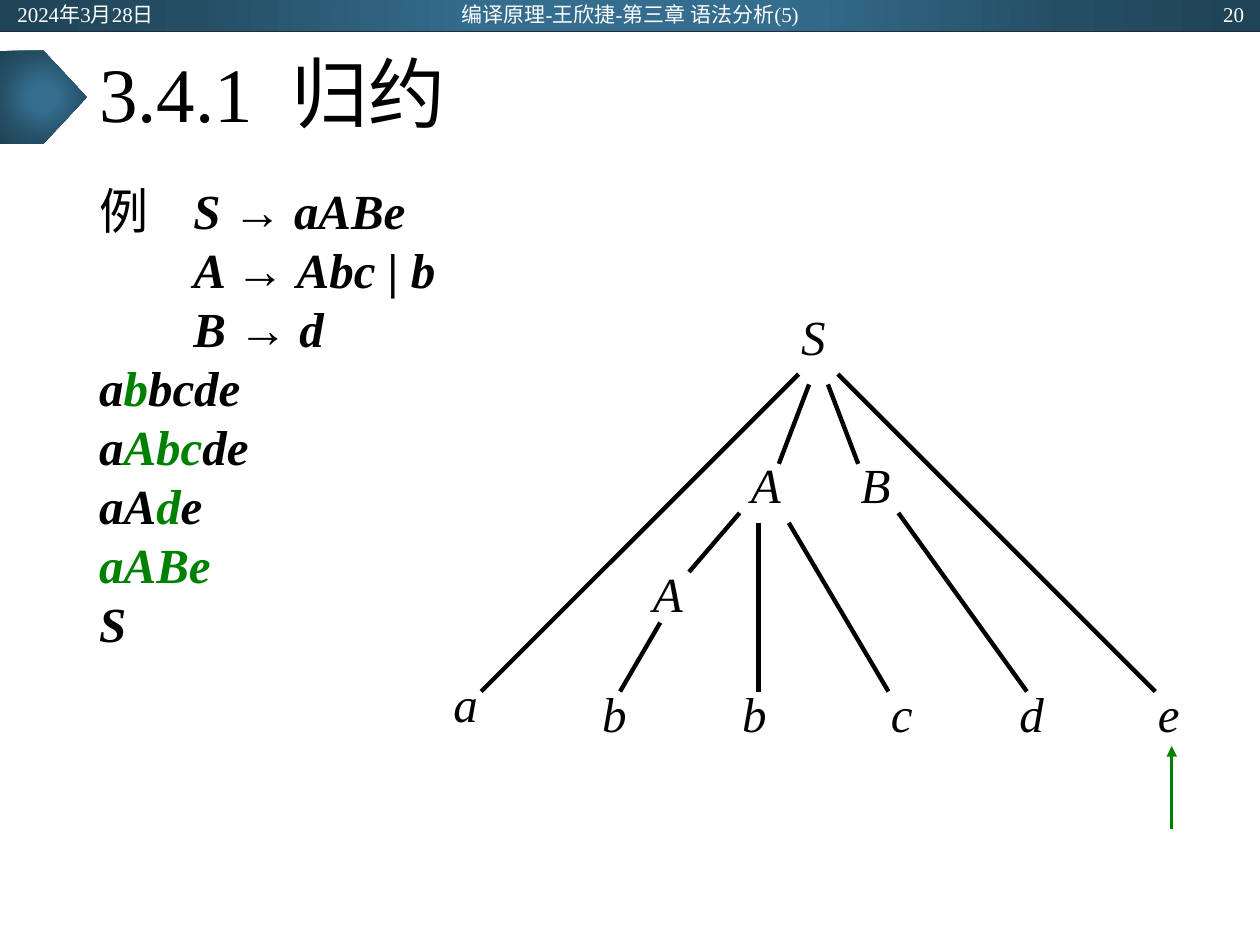
from lxml import etree
from pptx import Presentation
from pptx.dml.color import RGBColor
from pptx.enum.shapes import MSO_CONNECTOR as Connector, MSO_SHAPE as Shape
from pptx.enum.text import MSO_ANCHOR as Anchor, PP_ALIGN as Align
from pptx.oxml import parse_xml
from pptx.oxml.ns import nsdecls, qn
from pptx.util import Cm, Pt

COLORS = {
    "black": "000000",
    "white": "FFFFFF",
    "green": "008000",
    "rule": "222A35",
}
BLUE_STOPS = [(0, "346D8E"), (23, "346D8E"), (69, "254E64"), (97, "204457")]


class SlideBuilder:
    font_name = "Times New Roman"

    def __init__(self, slide):
        self.shapes = slide.shapes

    def band(self, shape_type, left, top, width, height):
        """Shape with a blue gradient spreading from its centre."""
        shape = self.shapes.add_shape(
            shape_type, Cm(left), Cm(top), Cm(width), Cm(height))
        shape.shadow.inherit = False
        shape.line.fill.background()
        stops = "".join(
            f'<a:gs pos="{pos * 1000}"><a:srgbClr val="{color}"/></a:gs>'
            for pos, color in BLUE_STOPS)
        gradient = parse_xml(
            f'<a:gradFill {nsdecls("a")} rotWithShape="1"><a:gsLst>{stops}</a:gsLst>'
            '<a:path path="circle"><a:fillToRect l="50000" t="50000" r="50000" b="50000"/>'
            '</a:path></a:gradFill>')
        shape._element.spPr.find(qn("a:prstGeom")).addnext(gradient)

    def line(self, start, end, color="black", width=2.5, arrow=False):
        connector = self.shapes.add_connector(
            Connector.STRAIGHT, *(Cm(value) for value in (*start, *end)))
        connector.line.color.rgb = RGBColor.from_string(COLORS[color])
        connector.line.width = Pt(width)
        if arrow:
            etree.SubElement(connector.line._get_or_add_ln(),
                             qn("a:tailEnd"), type="triangle")
        etree.SubElement(connector._element.spPr, qn("a:effectLst"))

    def box(self, left, top, width, height, anchor=Anchor.TOP, insets=(0.25, 0.13)):
        frame = self.shapes.add_textbox(
            Cm(left), Cm(top), Cm(width), Cm(height)).text_frame
        frame.word_wrap = True
        frame.vertical_anchor = anchor
        frame.margin_left = frame.margin_right = Cm(insets[0])
        frame.margin_top = frame.margin_bottom = Cm(insets[1])
        return frame

    def style(self, span, size, color="black", bold=False, italic=False):
        span.font.name = self.font_name
        span.font.size = Pt(size)
        span.font.color.rgb = RGBColor.from_string(COLORS[color])
        span.font.bold = bold
        span.font.italic = italic

    def text(self, content, place, size, color="black", align=Align.LEFT,
             italic=False, **box_options):
        frame = self.box(*place, **box_options)
        frame.text = content
        para = frame.paragraphs[0]
        para.alignment = align
        self.style(para.runs[0], size, color, italic=italic)
        return para

    def title(self, number, name, place):
        para = self.text(number, place, 44, anchor=Anchor.MIDDLE)
        para.line_spacing = 0.9
        for content in (" ", name):
            span = para.add_run()
            span.text = content
            self.style(span, 44)
        # Widen the gap between number and name
        para.runs[1]._r.get_or_add_rPr().set("spc", "1100")

    def body(self, lines, place):
        frame = self.box(*place)
        for index, spans in enumerate(lines):
            para = frame.paragraphs[0] if index == 0 else frame.add_paragraph()
            para.line_spacing = Pt(33.7)
            properties = para._p.get_or_add_pPr()
            properties.set("marL", str(Cm(0.63)))
            properties.set("indent", str(Cm(-0.63)))
            for content, color, bold, italic in spans:
                span = para.add_run()
                span.text = content
                self.style(span, 28, color, bold, italic)

    def node(self, letter, left, top, width, height):
        self.text(letter, (left, top, width, height), 28,
                  italic=True, insets=(0.05, 0.03))


def rule(lead, left_side, right_side):
    """Grammar rule with an upright arrow."""
    return [*lead, (f"{left_side} ", "black", True, True),
            ("→ ", "black", True, False), (right_side, "black", True, True)]


def step(*parts):
    """Reduction step: parts alternate between black and green."""
    return [(part, ("black", "green")[index % 2], True, True)
            for index, part in enumerate(parts) if part]


def main():
    deck = Presentation()
    deck.slide_width, deck.slide_height = Cm(25.4), Cm(19.05)
    page = SlideBuilder(deck.slides.add_slide(deck.slide_layouts[6]))

    # Header band and title marker
    page.band(Shape.RECTANGLE, 0, 0, 25.4, 0.64)
    page.line((0, 0.64), (25.4, 0.64), "rule", 0.5)
    page.band(Shape.PENTAGON, 0, 1.02, 1.75, 1.88)

    # Title and derivation
    page.title("3.4.1", "归约", (1.75, 0.64, 21.9, 2.64))
    tabs = [("\t\t", "black", True, True)]
    page.body([
        rule([("例\t", "black", False, False)], "S", "aABe"),
        rule(tabs, "A", "Abc | b"),
        rule(tabs, "B", "d"),
        step("a", "b", "bcde"),
        step("a", "Abc", "de"),
        step("aA", "d", "e"),
        step("", "aABe"),
        step("S"),
    ], (1.75, 3.51, 21.9, 13.67))

    # Syntax tree nodes
    leaf_top = 13.74
    for node in [
        ("S", 16.1, 6.15, 1.12, 1.4),
        ("A", 15.09, 9.14, 1.02, 1.4),
        ("B", 17.3, 9.14, 1.17, 1.4),
        ("A", 13.11, 11.33, 1.4, 1.4),
        ("a", 9.09, 13.54, 1.04, 1.27),
        ("b", 12.09, leaf_top, 1.19, 1.4),
        ("b", 14.91, leaf_top, 1.04, 1.27),
        ("c", 17.91, leaf_top, 1.4, 1.4),
        ("d", 20.5, leaf_top, 1.04, 1.27),
        ("e", 23.29, leaf_top, 1.19, 1.4),
    ]:
        page.node(*node)

    # Syntax tree branches
    leaf_line = 13.94
    for start, end in [
        ((16.1, 7.54), (9.7, leaf_line)),
        ((16.89, 7.54), (23.29, leaf_line)),
        ((16.31, 7.75), (15.7, 9.35)),
        ((16.69, 7.75), (17.3, 9.35)),
        ((14.91, 10.34), (13.89, 11.53)),
        ((13.31, 12.55), (12.5, leaf_line)),
        ((15.29, 10.54), (15.29, leaf_line)),
        ((15.9, 10.54), (17.91, leaf_line)),
        ((18.11, 10.34), (20.7, leaf_line)),
    ]:
        page.line(start, end)

    # Input pointer
    page.line((23.62, 16.71), (23.62, 15.04), "green", 2, arrow=True)

    # Header texts
    for content, left, width, align in [
        ("2024年3月28日", 0.1, 5.72, Align.LEFT),
        ("编译原理-王欣捷-第三章 语法分析(5)", 8.41, 8.59, Align.CENTER),
        ("20", 19.61, 5.72, Align.RIGHT),
    ]:
        page.text(content, (left, 0.03, width, 0.51), 12, "white", align,
                  anchor=Anchor.MIDDLE)

    deck.save("out.pptx")


if __name__ == "__main__":
    main()
